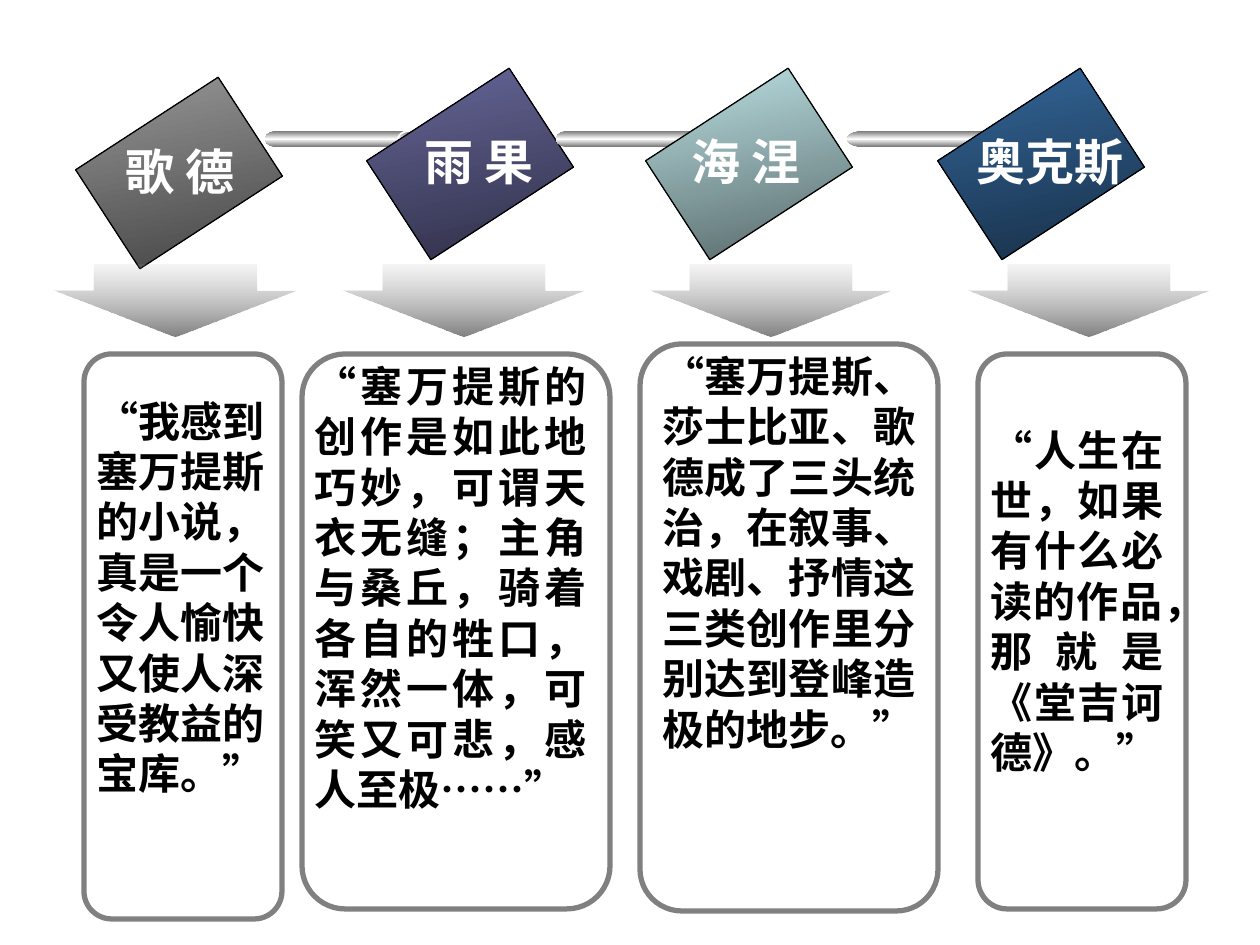
from lxml.etree import SubElement
from pptx import Presentation
from pptx.dml.color import RGBColor
from pptx.enum.shapes import MSO_SHAPE as Shape
from pptx.enum.text import MSO_ANCHOR as Anchor, MSO_AUTO_SIZE as AutoSize, PP_ALIGN as Align
from pptx.oxml.ns import qn
from pptx.util import Pt

WRITERS = [
    dict(name="歌 德", shades=("454545", "969696"), tile=(120, 88), label=(113, 135, 159, 72),
         arrow=54, card=(84, 354, 198, 565), words=(84, 389, 198, 416), align=Align.LEFT,
         quote="“我感到塞万提斯的小说，真是一个令人愉快又使人深受教益的宝库。”"),
    dict(name="雨 果", shades=("2F2F47", "666699"), tile=(411, 79), label=(412, 125, 169, 72),
         arrow=343, card=(302, 354, 308, 555), words=(302, 354, 297, 475), align=Align.JUSTIFY,
         quote="“塞万提斯的创作是如此地巧妙，可谓天衣无缝；主角与桑丘，"
               "骑着各自的牲口，浑然一体，可笑又可悲，感人至极……”"),
    dict(name="海 涅", shades=("576869", "BBE0E3"), tile=(690, 79), label=(679, 125, 159, 72),
         arrow=650, card=(640, 344, 298, 567), words=(650, 344, 278, 425), align=Align.JUSTIFY,
         quote="“塞万提斯、莎士比亚、歌德成了三头统治，在叙事、戏剧、"
               "抒情这三类创作里分别达到登峰造极的地步。”"),
    dict(name="奥克斯", shades=("182F47", "336699"), tile=(982, 79), label=(964, 125, 188, 72),
         arrow=968, card=(978, 354, 208, 555), words=(978, 418, 198, 365), align=Align.JUSTIFY,
         quote="“人生在世，如果有什么必读的作品，那就是《堂吉诃德》。”"),
]
RODS = [(265, 1), (556, 1), (847, 1.31)]
ROD_PARTS = [
    (Shape.OVAL, 0, 131, 26, 16, False),
    (Shape.RECTANGLE, 15, 131, 131, 16, False),
    (Shape.OVAL, 133, 131, 24, 16, True),
    (Shape.OVAL, 146, 136, 6, 5, False),
]
TILE_SIZE = (118, 170)
ARROW_TOP, ARROW_SIZE = 265, (242, 72)
THEME = dict(
    name_font="Arial", quote_font="Noto Sans CJK SC", asian_font="Noto Sans CJK SC",
    name_size=28, quote_size=24, name_color="FFFFFF", quote_color="000000",
    tile_line="000000", card_line="808080", rod_line="FFFFFF",
    rod=[(0, "767676", 100), (50, "FFFFFF", 100), (100, "767676", 100)],
    arrow=[(0, "AEAEAE", 12), (100, "808080", 100)],
)
EMU_PER_PX = 914400 / 126

prs = Presentation()
prs.slide_width, prs.slide_height = (round(n * EMU_PER_PX) for n in (1260, 945))
slide = prs.slides.add_slide(prs.slide_layouts[6])


def emu(box):
    return [round(n * EMU_PER_PX) for n in box]


def add_figure(kind, box, line=None, width=1):
    figure = slide.shapes.add_shape(kind, *emu(box))
    figure.shadow.inherit = False
    figure.fill.background()
    if line:
        figure.line.color.rgb = RGBColor.from_string(line)
        figure.line.width = Pt(width)
    else:
        figure.line.fill.background()
    return figure


def add_gradient(figure, stops, angle):
    blank = figure._element.spPr.find(qn("a:noFill"))
    gradient = blank.makeelement(qn("a:gradFill"), {"rotWithShape": "0"})
    blank.getparent().replace(blank, gradient)
    stop_list = SubElement(gradient, qn("a:gsLst"))
    for position, color, opacity in stops:
        stop = SubElement(stop_list, qn("a:gs"), pos=str(position * 1000))
        shade = SubElement(stop, qn("a:srgbClr"), val=color)
        if opacity < 100:
            SubElement(shade, qn("a:alpha"), val=str(opacity * 1000))
    SubElement(gradient, qn("a:lin"), ang=str(angle * 60000), scaled="0")


def add_text(text, box, role, align=Align.LEFT):
    frame = slide.shapes.add_textbox(*emu(box)).text_frame
    frame.word_wrap = True
    frame.auto_size = AutoSize.SHAPE_TO_FIT_TEXT
    frame.vertical_anchor = Anchor.TOP
    paragraph = frame.paragraphs[0]
    paragraph.text = text
    paragraph.alignment = align
    font = paragraph.font
    font.name = THEME[role + "_font"]
    font.size = Pt(THEME[role + "_size"])
    font.bold = True
    font.color.rgb = RGBColor.from_string(THEME[role + "_color"])
    defaults = paragraph._p.pPr.find(qn("a:defRPr"))
    SubElement(defaults, qn("a:ea"), typeface=THEME["asian_font"])


def add_tile(writer):
    tile = add_figure(Shape.RECTANGLE, writer["tile"] + TILE_SIZE, THEME["tile_line"], 0.75)
    dark, light = writer["shades"]
    add_gradient(tile, [(0, dark, 100), (100, light, 100)], 258)
    tile.rotation = 57


def add_rod(left, stretch):
    for kind, offset, top, width, height, outlined in ROD_PARTS:
        box = (left + offset * stretch, top, width * stretch, height)
        part = add_figure(kind, box, THEME["rod_line"] if outlined else None)
        add_gradient(part, THEME["rod"], 90)


add_tile(WRITERS[0])
for rod, writer in zip(RODS, WRITERS[1:]):
    add_rod(*rod)
    add_tile(writer)

for writer in WRITERS:
    add_text(writer["quote"], writer["words"], "quote", writer["align"])
    card = add_figure(Shape.ROUNDED_RECTANGLE, writer["card"], THEME["card_line"], 3)
    card.adjustments[0] = 0.14
    add_text(writer["name"], writer["label"], "name")
    arrow = add_figure(Shape.DOWN_ARROW, (writer["arrow"], ARROW_TOP) + ARROW_SIZE)
    arrow.adjustments[0], arrow.adjustments[1] = 0.67, 0.64
    add_gradient(arrow, THEME["arrow"], 90)

prs.save("out.pptx")
